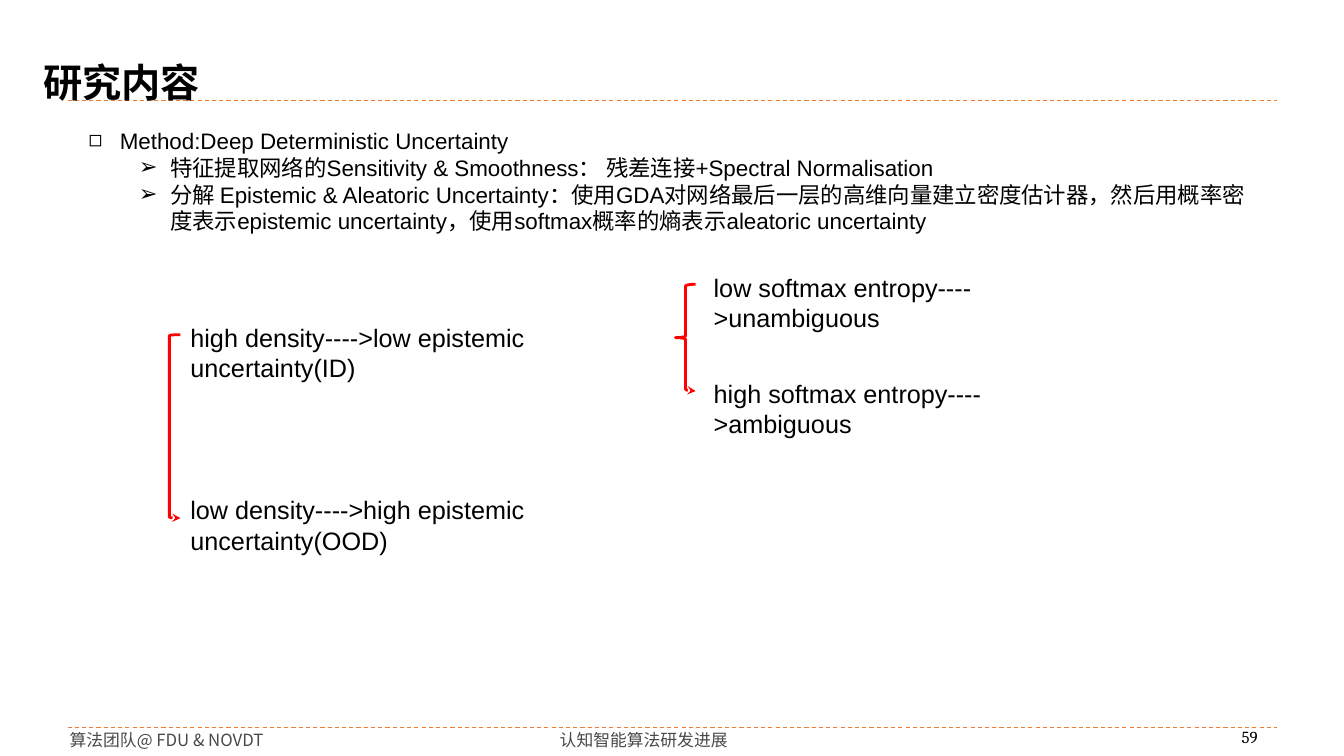
from dataclasses import dataclass

from lxml.etree import SubElement
from pptx import Presentation
from pptx.dml.color import RGBColor
from pptx.enum.dml import MSO_LINE
from pptx.enum.shapes import MSO_CONNECTOR, MSO_SHAPE
from pptx.enum.text import MSO_AUTO_SIZE, PP_ALIGN
from pptx.oxml.ns import qn
from pptx.util import Inches, Pt


@dataclass(frozen=True)
class Theme:
    """Colours, fonts and type sizes of the slide."""
    ink: RGBColor = RGBColor(0, 0, 0)
    footer_ink: RGBColor = RGBColor(0x49, 0x49, 0x49)
    rule: RGBColor = RGBColor(0xED, 0x7D, 0x31)
    bracket: RGBColor = RGBColor(0xFF, 0, 0)
    latin: str = "Arial"
    chinese: str = "Noto Sans CJK SC"
    number: str = "Cambria"
    title_size: int = 28
    body_size: int = 16
    branch_size: int = 18
    footer_size: int = 12


THEME = Theme()
METHOD = [
    (0, "Method:Deep Deterministic Uncertainty"),
    (1, "特征提取网络的Sensitivity & Smoothness： 残差连接+Spectral Normalisation"),
    (1, "分解 Epistemic & Aleatoric Uncertainty：使用GDA对网络最后一层的高维向量建立密度估计器，"
        "然后用概率密度表示epistemic uncertainty，使用softmax概率的熵表示aleatoric uncertainty"),
]
BULLETS = {0: ("◻", 0.31), 1: ("➢", 0.81)}
HANGING = 0.31


def set_attributes(target, values):
    """Set each named value on the target."""
    for name, value in values.items():
        setattr(target, name, value)


def add_run(paragraph, text, size, font_name, color, bold=False):
    """Add a run with its Latin and East Asian fonts."""
    run = paragraph.add_run()
    run.text = text
    set_attributes(run.font, {"size": Pt(size), "bold": bold, "name": font_name})
    run.font.color.rgb = color
    SubElement(run._r.get_or_add_rPr(), qn("a:ea"), typeface=THEME.chinese)


def add_text_frame(slide, box, wrap=True, inset=True):
    """Add a text box at the given box and return its frame."""
    frame = slide.shapes.add_textbox(*map(Inches, box)).text_frame
    set_attributes(frame, {"word_wrap": wrap, "auto_size": MSO_AUTO_SIZE.SHAPE_TO_FIT_TEXT})
    if not inset:
        sides = ("left", "top", "right", "bottom")
        set_attributes(frame, {f"margin_{side}": 0 for side in sides})
    return frame


def add_rule(slide, left, top, width):
    """Add a dashed horizontal rule."""
    rule = slide.shapes.add_connector(
        MSO_CONNECTOR.STRAIGHT, *map(Inches, (left, top, left + width, top)))
    set_attributes(rule.line, {"width": Pt(0.75), "dash_style": MSO_LINE.DASH})
    rule.line.color.rgb = THEME.rule
    SubElement(rule._element.spPr, qn("a:effectLst"))


def add_header(slide, left, top, width):
    """Add the title and the rule under it."""
    add_rule(slide, left + 0.34, top + 0.47, width)
    frame = add_text_frame(slide, (left, top, 1.76, 0.57), wrap=False)
    add_run(frame.paragraphs[0], "研究内容", THEME.title_size, THEME.chinese, THEME.ink, True)


def add_footer(slide, left, top, width):
    """Add the bottom rule, team, topic and page number."""
    add_rule(slide, left, top, width)
    parts = [
        ("算法团队@ FDU & NOVDT", 0.02, 0.02, 2.01, PP_ALIGN.LEFT, THEME.chinese, THEME.footer_ink),
        ("认知智能算法研发进展", 2.66, 0.02, 6.11, PP_ALIGN.CENTER, THEME.chinese, THEME.footer_ink),
        ("59", 11.49, -0.01, 0.47, PP_ALIGN.CENTER, THEME.number, THEME.ink),
    ]
    for text, shift, drop, span, alignment, font_name, color in parts:
        frame = add_text_frame(slide, (left + shift, top + drop, span, 0.2), inset=False)
        paragraph = frame.paragraphs[0]
        paragraph.alignment = alignment
        add_run(paragraph, text, THEME.footer_size, font_name, color)


def add_method(slide, box):
    """Add the bulleted description of the method."""
    frame = add_text_frame(slide, box)
    for index, (level, text) in enumerate(METHOD):
        paragraph = frame.add_paragraph() if index else frame.paragraphs[0]
        paragraph.level = level
        bullet, indent = BULLETS[level]
        properties = paragraph._p.get_or_add_pPr()
        properties.set("marL", str(Inches(indent)))
        properties.set("indent", str(-Inches(HANGING)))
        SubElement(properties, qn("a:buFont"), typeface=THEME.latin)
        SubElement(properties, qn("a:buChar"), char=bullet)
        add_run(paragraph, text, THEME.body_size, THEME.latin, THEME.ink)


def add_branch(slide, kind, box, text_left, text_width, gap, texts):
    """Add a bracket with an arrowhead and its two outcomes."""
    left, top, width, height = box
    bracket = slide.shapes.add_shape(kind, *map(Inches, box))
    bracket.shadow.inherit = False
    bracket.fill.background()
    bracket.line.color.rgb = THEME.bracket
    bracket.line.width = Pt(2)
    SubElement(bracket.line._get_or_add_ln(), qn("a:headEnd"), type="stealth")
    for index, text in enumerate(texts):
        text_box = (text_left, top - 0.17 + index * gap, text_width, 0.4)
        frame = add_text_frame(slide, text_box)
        add_run(frame.paragraphs[0], text, THEME.branch_size, THEME.latin, THEME.ink)


def main():
    """Build and save the slide."""
    presentation = Presentation()
    set_attributes(presentation, {"slide_width": Inches(13.33), "slide_height": Inches(7.5)})
    slide = presentation.slides.add_slide(presentation.slide_layouts[6])
    add_footer(slide, 0.67, 7.22, 12)
    add_header(slide, 0.33, 0.53, 12)
    add_method(slide, (0.78, 1.21, 11.89, 1.45))
    add_branch(slide, MSO_SHAPE.LEFT_BRACKET, (1.68, 3.32, 0.11, 1.82), 1.79, 3.8, 1.71,
               ["high density---->low epistemic uncertainty(ID)",
                "low density---->high epistemic uncertainty(OOD)"])
    add_branch(slide, MSO_SHAPE.LEFT_BRACE, (6.7, 2.82, 0.2, 1.06), 6.98, 3, 1.05,
               ["low softmax entropy---->unambiguous",
                "high softmax entropy---->ambiguous"])
    presentation.save("out.pptx")


if __name__ == "__main__":
    main()
